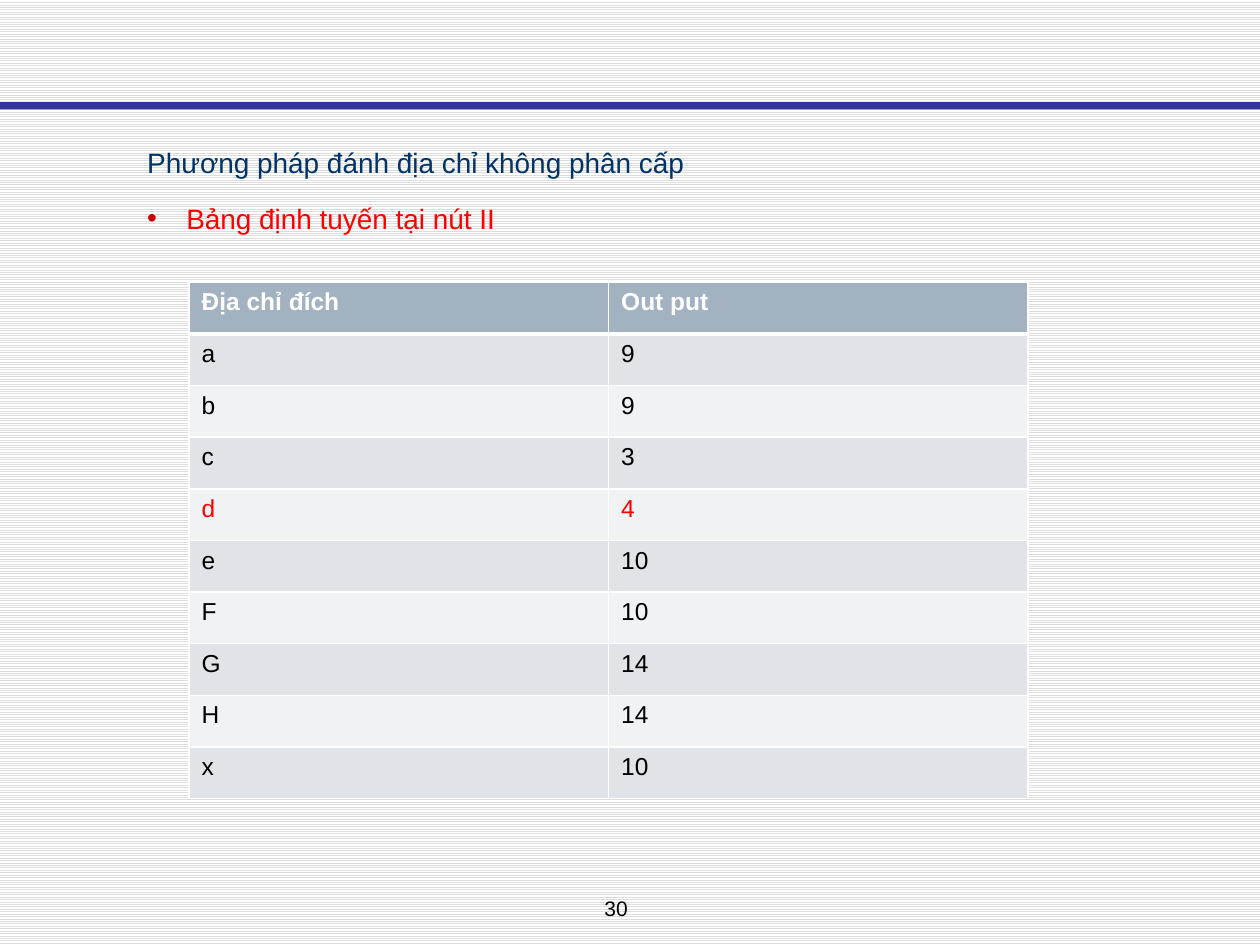
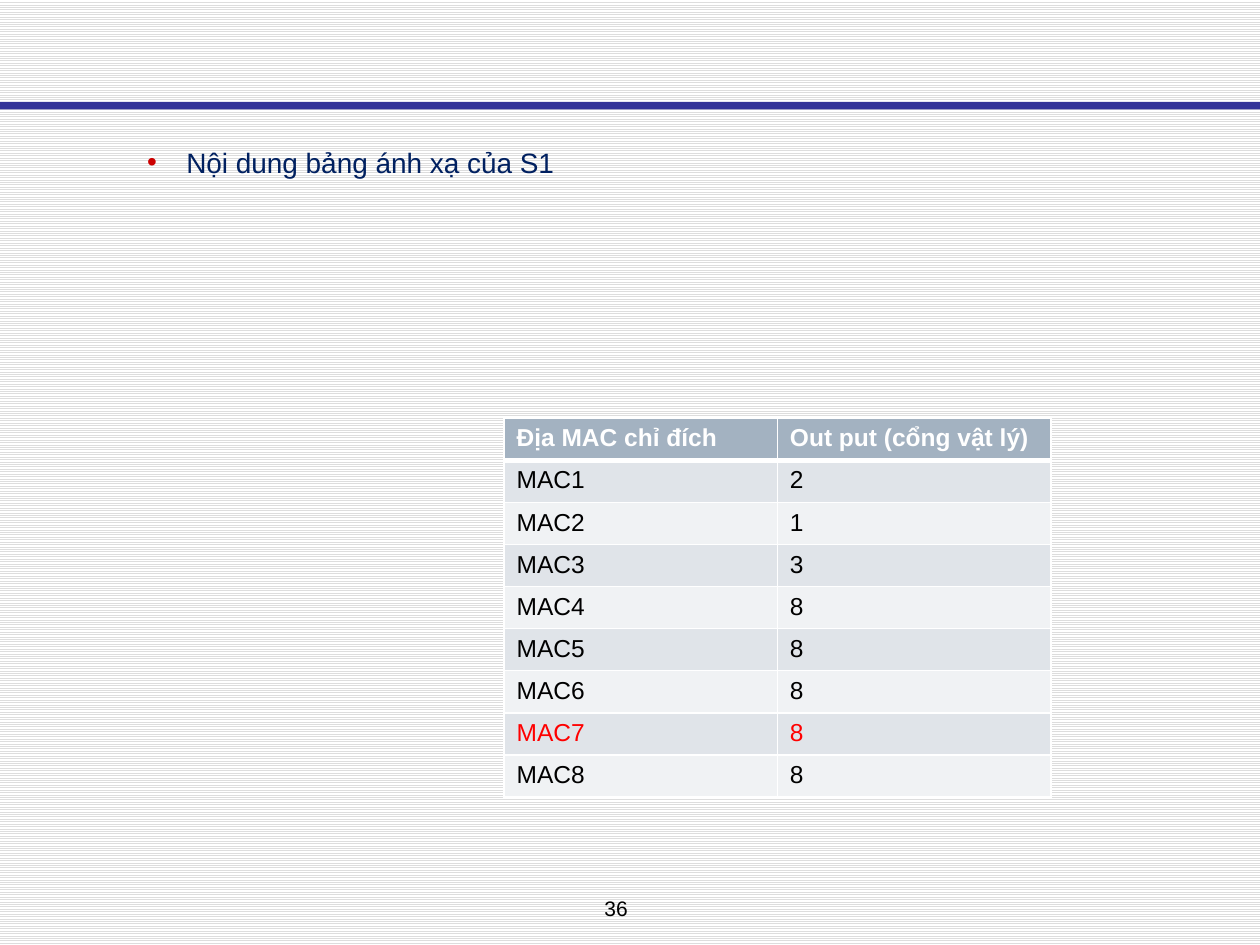
from pptx import Presentation
from pptx import util as u
from pptx.dml.color import RGBColor
from pptx.enum import dml, shapes, text
from pptx.oxml import parse_xml
from pptx.oxml.ns import nsdecls

INK = {"band": "333399", "stripe": "DDDDDD", "white": "FFFFFF", "black": "000000",
       "navy": "003366", "deep": "002060", "red": "FF0000", "dot": "CC0000",
       "head": "A3B2C1", "odd": "E0E4E9", "even": "F0F2F4"}


def rgb(name):
    return RGBColor.from_string(INK[name])


def style(para, words, size, color, bold=False):
    run = para.add_run()
    run.text = words
    look = {"name": "Arial", "size": u.Pt(size), "bold": bold}
    for key, value in look.items():
        setattr(run.font, key, value)
    run.font.color.rgb = rgb(color)


pages = [
    {"number": "30",
     "lines": [("Phương pháp đánh địa chỉ không phân cấp", "navy", False),
               ("Bảng định tuyến tại nút II", "red", True)],
     "depth": 1.24, "at": (1.5, 2.24), "col": 3.33, "row": 0.41, "hot": "d",
     "rows": [("Địa chỉ đích", "Out put"), ("a", "9"), ("b", "9"), ("c", "3"),
              ("d", "4"), ("e", "10"), ("F", "10"), ("G", "14"), ("H", "14"),
              ("x", "10")]},
    {"number": "36",
     "lines": [("Nội dung bảng ánh xạ của S1", "deep", True)],
     "depth": 0.49, "at": (4, 3.32), "col": 2.17, "row": 0.33, "hot": "MAC7",
     "rows": [("Địa MAC chỉ đích", "Out put (cổng vật lý)"), ("MAC1", "2"),
              ("MAC2", "1"), ("MAC3", "3"), ("MAC4", "8"), ("MAC5", "8"),
              ("MAC6", "8"), ("MAC7", "8"), ("MAC8", "8")]},
]

deck = Presentation()
deck.slide_width, deck.slide_height = u.Inches(10), u.Inches(7.5)
back = deck.slide_master.background.fill
back.patterned()
back.pattern = dml.MSO_PATTERN.LIGHT_HORIZONTAL
back.fore_color.rgb = rgb("stripe")
back.back_color.rgb = rgb("white")

for page in pages:
    slide = deck.slides.add_slide(deck.slide_layouts[6])
    band = slide.shapes.add_shape(shapes.MSO_SHAPE.RECTANGLE, 0, u.Inches(0.81),
                                  u.Inches(10), u.Inches(0.06))
    band.shadow.inherit = False
    band.fill.solid()
    band.fill.fore_color.rgb = rgb("band")
    band.line.fill.background()

    foot = slide.shapes.add_textbox(u.Inches(4.08), u.Inches(7.06),
                                    u.Inches(1.62), u.Inches(0.3)).text_frame
    foot.word_wrap = True
    foot.paragraphs[0].alignment = text.PP_ALIGN.CENTER
    style(foot.paragraphs[0], page["number"], 12, "black")

    body = slide.shapes.add_textbox(u.Inches(1.07), u.Inches(1.01),
                                    u.Inches(8.51), u.Inches(page["depth"])).text_frame
    body.word_wrap = True
    for i, (words, color, dotted) in enumerate(page["lines"]):
        para = body.add_paragraph() if i else body.paragraphs[0]
        para.line_spacing = 1.35
        para.space_before = u.Pt(6.4)
        style(para, words, 16, color)
        if dotted:
            props = para._p.get_or_add_pPr()
            props.set("marL", str(u.Inches(0.31)))
            props.set("indent", str(u.Inches(-0.31)))
            for mark in (f'<a:buClr {nsdecls("a")}><a:srgbClr val="{INK["dot"]}"/></a:buClr>',
                         f'<a:buFont {nsdecls("a")} typeface="Arial"/>',
                         f'<a:buChar {nsdecls("a")} char="•"/>'):
                props.append(parse_xml(mark))

    rows = page["rows"]
    left, top = page["at"]
    grid = slide.shapes.add_table(len(rows), 2, u.Inches(left), u.Inches(top),
                                  u.Inches(page["col"] * 2),
                                  u.Inches(page["row"] * len(rows))).table
    for col in grid.columns:
        col.width = u.Inches(page["col"])
    for r, row in enumerate(rows):
        grid.rows[r].height = u.Inches(page["row"])
        fill = "odd" if r % 2 else "even"
        color = "red" if row[0] == page["hot"] else "black"
        if r == 0:
            fill, color = "head", "white"
        for c, words in enumerate(row):
            cell = grid.cell(r, c)
            style(cell.text_frame.paragraphs[0], words, 14, color, r == 0)
            props = cell._tc.get_or_add_tcPr()
            for side in "LRTB":
                thick = 3 if (r, side) in ((0, "B"), (1, "T")) else 1
                props.append(parse_xml(
                    f'<a:ln{side} {nsdecls("a")} w="{u.Pt(thick)}"><a:solidFill>'
                    f'<a:srgbClr val="{INK["white"]}"/></a:solidFill></a:ln{side}>'))
            cell.fill.solid()
            cell.fill.fore_color.rgb = rgb(fill)

deck.save("out.pptx")
